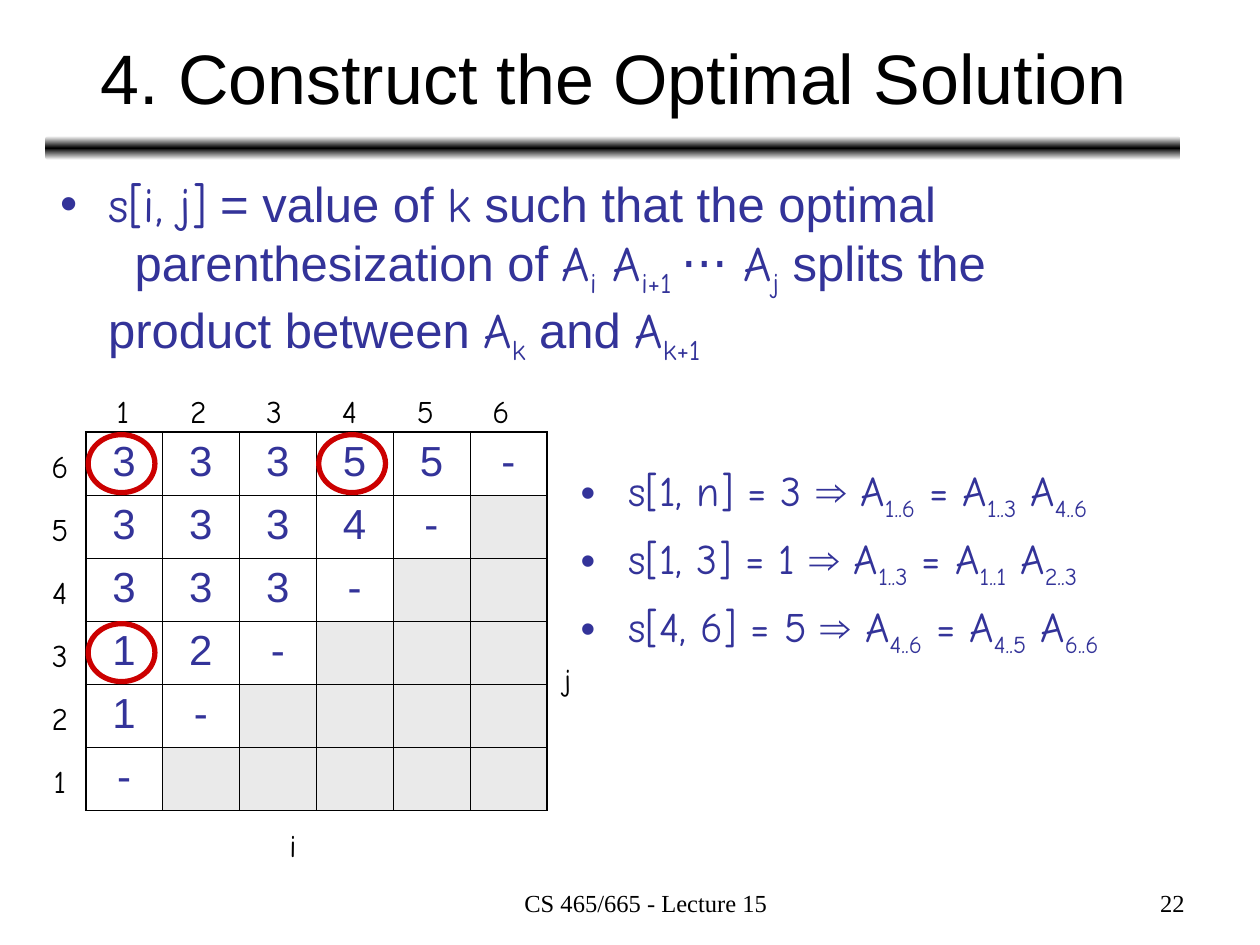
import copy
import pptx
import pptx.util
import pptx.dml.color
import pptx.enum.shapes
import pptx.enum.text
import pptx.oxml
import pptx.oxml.ns

Inches, Pt = pptx.util.Inches, pptx.util.Pt
RGB = pptx.dml.color.RGBColor
ALIGN = pptx.enum.text.PP_ALIGN
SHAPE = pptx.enum.shapes.MSO_SHAPE
qn = pptx.oxml.ns.qn

BLACK, WHITE = RGB(0, 0, 0), RGB(255, 255, 255)
BLUE, RED, GRAY = RGB(0x33, 0x33, 0x99), RGB(0xCC, 0, 0), RGB(0xEA, 0xEA, 0xEA)
SANS, HAND, SERIF = "Arial", "Comic Neue", "Times New Roman"

TITLE = "4. Construct the Optimal Solution"
# Run kinds: "t" plain text, "m" math, "s" subscript, "br" line break
RULE = [
    ("m", "s[i, j]"), ("t", " = value of "), ("m", "k"),
    ("t", " such that the optimal"), ("br", ""),
    ("t", "\tparenthesization of "), ("m", "A"), ("s", "i"), ("m", " A"),
    ("s", "i+1 "), ("t", "⋅⋅⋅"), ("m", " A"), ("s", "j"),
    ("t", " splits the"), ("br", ""),
    ("t", "product between "), ("m", "A"), ("s", "k"), ("t", " and "),
    ("m", "A"), ("s", "k+1"),
]
SPLITS = [  # cell, its value, whole chain, left part, right part
    ("1, n", 3, "1..6", "1..3", "4..6"),
    ("1, 3", 1, "1..3", "1..1", "2..3"),
    ("4, 6", 5, "4..6", "4..5", "6..6"),
]
CELLS = ["33355-", "3334-", "333-", "12-", "1-", "-"]
RINGS = [(0, 0), (3, 0), (0, 3)]  # row, column
SIZE = len(CELLS)
LEFT, TOP, COL, ROW = 0.68, 3.43, 0.61, 0.5


def add_run(para, text, font, size, color, sub=False):
    run = para.add_run()
    run.text = text
    run.font.name, run.font.size = font, Pt(size)
    run.font.color.rgb = color
    if sub:
        run._r.get_or_add_rPr().set("baseline", "-25000")


def add_box(slide, x, y, w, h, wrap=True):
    box = slide.shapes.add_textbox(Inches(x), Inches(y), Inches(w), Inches(h))
    box.text_frame.word_wrap = wrap
    return box.text_frame


def add_text(slide, text, x, y, w, h, font, size, align, wrap=True):
    frame = add_box(slide, x, y, w, h, wrap)
    para = frame.paragraphs[0]
    para.alignment = align
    add_run(para, text, font, size, BLACK)
    return frame


def add_rich(para, runs, size, tab=None):
    """Fill a bulleted paragraph with runs of mixed kinds."""
    props = para._p.get_or_add_pPr()
    props.set("marL", str(Inches(0.38)))
    props.set("indent", str(-Inches(0.38)))
    color = pptx.oxml.ns.nsdecls("a")
    marks = [f'<a:buClr {color}><a:srgbClr val="{BLUE}"/></a:buClr>',
             f'<a:buFont {color} typeface="{SANS}"/>',
             f'<a:buChar {color} char="•"/>']
    if tab:
        marks.append(f'<a:tabLst {color}><a:tab pos="{Inches(tab)}" '
                     f'algn="l"/></a:tabLst>')
    for mark in marks:
        props.append(pptx.oxml.parse_xml(mark))
    for kind, text in runs:
        if kind == "br":
            para.add_line_break()
        else:
            add_run(para, text, SANS if kind == "t" else HAND, size, BLUE,
                    kind == "s")


def add_bar(slide):
    bar = slide.shapes.add_shape(SHAPE.ROUNDED_RECTANGLE, Inches(0.36),
                                 Inches(1.08), Inches(9.01), Inches(0.19))
    bar.shadow.inherit = False
    bar.line.fill.background()
    bar.fill.gradient()
    bar.fill.gradient_angle = 90
    stops = bar._element.spPr.find(".//" + qn("a:gsLst"))
    stops.insert(1, copy.deepcopy(stops[0]))
    for stop, color, pos in zip(bar.fill.gradient_stops,
                                (WHITE, BLACK, WHITE), (0, 0.5, 1)):
        stop.color.rgb, stop.position = color, pos


def add_lines(cell, row, col):
    """Draw thin inner borders and thicker outer ones."""
    outer = {"L": col == 0, "R": col == SIZE - 1, "T": row == 0, "B": False}
    props = cell._tc.get_or_add_tcPr()
    for side, thick in outer.items():
        width = Pt(1.08 if thick else 0.45)
        props.append(pptx.oxml.parse_xml(
            f'<a:ln{side} {pptx.oxml.ns.nsdecls("a")} w="{width}"><a:solidFill>'
            f'<a:srgbClr val="{BLACK}"/></a:solidFill></a:ln{side}>'))


def add_grid(slide):
    grid = slide.shapes.add_table(SIZE, SIZE, Inches(LEFT), Inches(TOP),
                                  Inches(COL * SIZE), Inches(ROW * SIZE)).table
    grid.first_row = grid.horz_banding = False
    for row, marks in enumerate(CELLS):
        for col in range(SIZE):
            cell = grid.cell(row, col)
            add_lines(cell, row, col)
            cell.fill.solid()
            cell.fill.fore_color.rgb = WHITE if col < len(marks) else GRAY
            if col < len(marks):
                para = cell.text_frame.paragraphs[0]
                para.alignment = ALIGN.CENTER
                add_run(para, marks[col], SANS, 24, BLUE)


def add_labels(slide):
    spots = [("i", 2.16, 6.51), ("j", 4.34, 5.19)]
    for num in range(SIZE):
        spots.append((str(num + 1), LEFT + 0.13 + 0.6 * num, 3.06))
        spots.append((str(SIZE - num), 0.31, TOP + 0.07 + ROW * num))
    for text, x, y in spots:
        add_text(slide, text, x, y, 0.33, 0.4, HAND, 18, ALIGN.CENTER, False)


def add_rings(slide):
    for row, col in RINGS:
        ring = slide.shapes.add_shape(
            SHAPE.OVAL, Inches(LEFT + 0.02 + COL * col),
            Inches(TOP + 0.02 + ROW * row), Inches(0.53), Inches(0.46))
        ring.shadow.inherit = False
        ring.fill.background()
        ring.line.color.rgb, ring.line.width = RED, Pt(3)


def add_splits(slide):
    frame = add_box(slide, 4.51, 3.64, 5.15, 2.37)
    for num, (cell, value, whole, left, right) in enumerate(SPLITS):
        para = frame.add_paragraph() if num else frame.paragraphs[0]
        if num:
            para.space_before = Pt(6)
        add_rich(para, [("m", f"s[{cell}] = {value} "), ("t", "⇒"),
                        ("m", " A"), ("s", whole), ("m", " = A"),
                        ("s", left), ("m", " A"), ("s", right)], 24)


def main():
    deck = pptx.Presentation()
    deck.slide_width, deck.slide_height = Inches(10), Inches(7.5)
    slide = deck.slides.add_slide(deck.slide_layouts[5])
    add_bar(slide)
    title = slide.shapes.title
    title.left, title.top = Inches(0.37), Inches(0.11)
    title.width, title.height = Inches(9), Inches(0.99)
    title.text_frame.vertical_anchor = pptx.enum.text.MSO_ANCHOR.MIDDLE
    para = title.text_frame.paragraphs[0]
    para.alignment = ALIGN.CENTER
    add_run(para, TITLE, SANS, 40, BLACK)

    rule = add_box(slide, 0.38, 1.33, 9, 1.65)
    add_rich(rule.paragraphs[0], RULE, 28, tab=0.59)
    add_grid(slide)
    add_labels(slide)
    add_splits(slide)
    add_rings(slide)
    for text, x, w, align in [("CS 465/665 - Lecture 15", 3.42, 3.17, ALIGN.CENTER),
                              ("22", 7.17, 2.33, ALIGN.RIGHT)]:
        foot = add_text(slide, text, x, 7, w, 0.35, SERIF, 14, align)
        foot.margin_left = Inches(0.34)
    deck.save("out.pptx")


if __name__ == "__main__":
    main()
